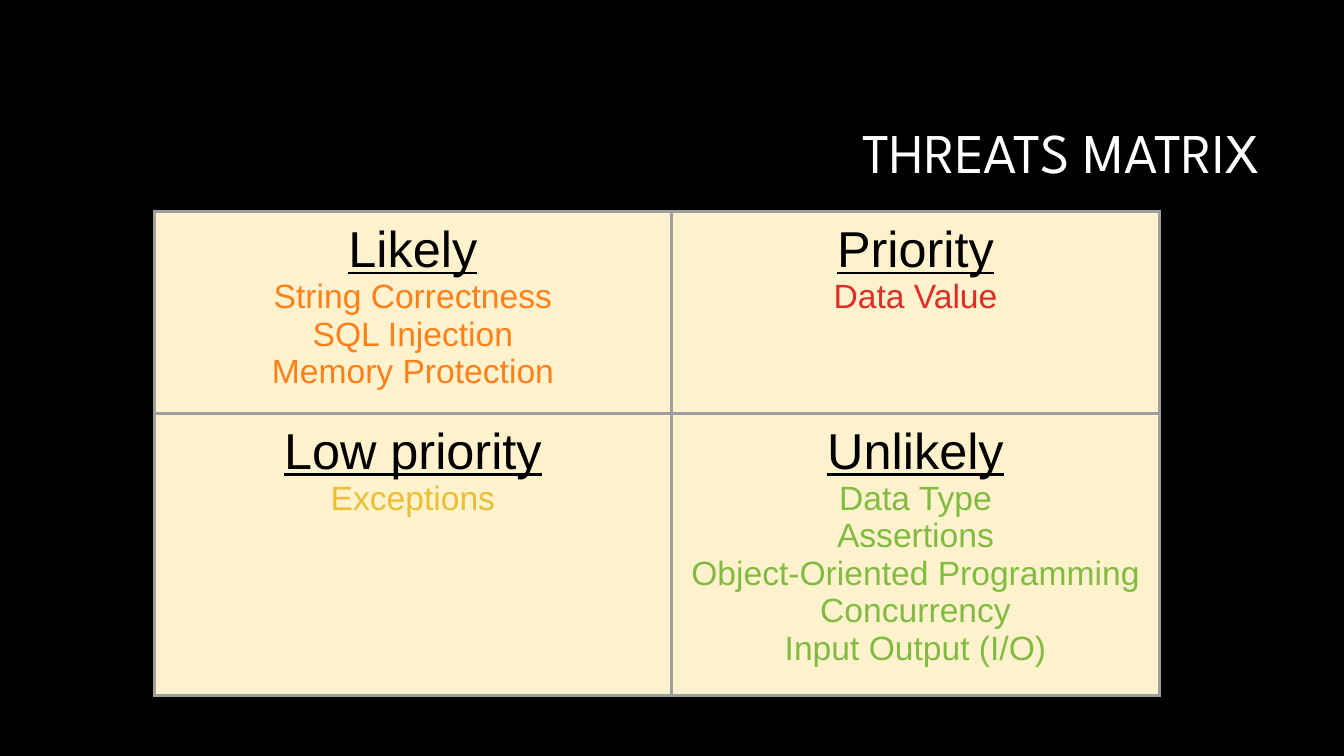
import pptx
import pptx.util
import pptx.dml.color
import pptx.enum.text
import pptx.oxml
import pptx.oxml.ns

INK = {"back": "000000", "title": "FFFFFF", "head": "000000", "cell": "FFF2CC",
       "edge": "9E9E9E", "orange": "FE801A", "red": "DF2E28",
       "yellow": "E9BF35", "green": "81BB42"}

MATRIX = [
    [("Likely", "orange", ["String Correctness", "SQL Injection", "Memory Protection"]),
     ("Priority", "red", ["Data Value"])],
    [("Low priority", "yellow", ["Exceptions"]),
     ("Unlikely", "green", ["Data Type", "Assertions", "Object-Oriented Programming",
                            "Concurrency", "Input Output (I/O)"])],
]


def tint(name):
    return pptx.dml.color.RGBColor.from_string(INK[name])


class Deck:
    """Hold the style and current slide, with areas given as shares of the slide's size."""

    def __init__(self):
        self.show = pptx.Presentation()
        self.show.slide_width = pptx.util.Inches(13.33)
        self.show.slide_height = pptx.util.Inches(7.5)
        self.slide = self.show.slides.add_slide(self.show.slide_layouts[6])
        fill = self.slide.background.fill
        fill.solid()
        fill.fore_color.rgb = tint("back")

    def place(self, left, top, width, height):
        wide, high = self.show.slide_width, self.show.slide_height
        return int(left * wide), int(top * high), int(width * wide), int(height * high)

    def label(self, para, text, size, color, face="Arial", align="CENTER", under=False):
        para.text = text
        para.alignment = getattr(pptx.enum.text.PP_ALIGN, align)
        font = para.font
        font.name, font.size, font.underline = face, pptx.util.Pt(size), under
        font.color.rgb = tint(color)

    def title(self, text, *area):
        frame = self.slide.shapes.add_textbox(*self.place(*area)).text_frame
        frame.word_wrap = True
        frame.vertical_anchor = pptx.enum.text.MSO_ANCHOR.MIDDLE
        para = frame.paragraphs[0]
        para.line_spacing = 0.9
        self.label(para, text, 40, "title", "League Spartan", "RIGHT")

    def border(self, cell):
        props = cell._tc.get_or_add_tcPr()
        for spot, side in enumerate("LRTB"):
            props.insert(spot, pptx.oxml.parse_xml(
                f'<a:ln{side} {pptx.oxml.ns.nsdecls("a")} w="{pptx.util.Pt(2.25)}">'
                f'<a:solidFill><a:srgbClr val="{INK["edge"]}"/></a:solidFill></a:ln{side}>'))

    def cell(self, cell, head, color, items):
        cell.fill.solid()
        cell.fill.fore_color.rgb = tint("cell")
        self.border(cell)
        pad = pptx.util.Inches(0.1)
        cell.margin_left = cell.margin_right = cell.margin_top = cell.margin_bottom = pad
        frame = cell.text_frame
        self.label(frame.paragraphs[0], head, 36, "head", under=True)
        for item in items:
            self.label(frame.add_paragraph(), item, 24, color)

    def table(self, data, cols, rows, *area):
        box = self.place(*area)
        grid = self.slide.shapes.add_table(len(rows), len(cols), *box).table
        grid.first_row = grid.horz_banding = False
        for col, share in zip(grid.columns, cols):
            col.width = int(box[2] * share)
        for row, share in zip(grid.rows, rows):
            row.height = int(box[3] * share)
        for r, line in enumerate(data):
            for c, entry in enumerate(line):
                self.cell(grid.cell(r, c), *entry)


def main():
    deck = Deck()
    deck.title("THREATS MATRIX", 3.17 / 13.33, 0.84 / 7.5, 9.42 / 13.33, 1.41 / 7.5)
    deck.table(MATRIX, (5.13 / 9.97, 4.84 / 9.97), (1.93 / 4.55, 2.62 / 4.55),
               1.53 / 13.33, 2.1 / 7.5, 9.97 / 13.33, 4.55 / 7.5)
    deck.show.save("out.pptx")


if __name__ == "__main__":
    main()
